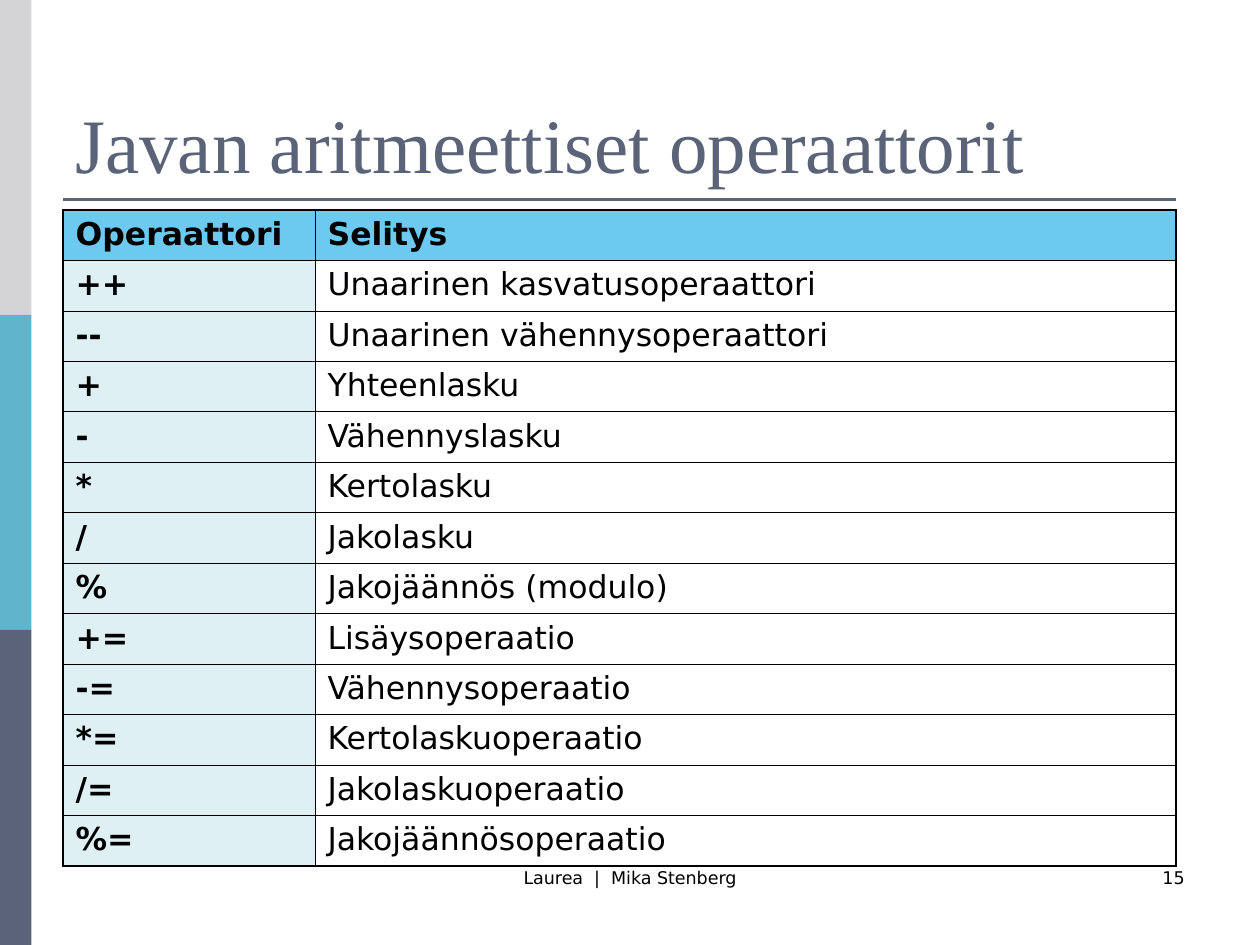
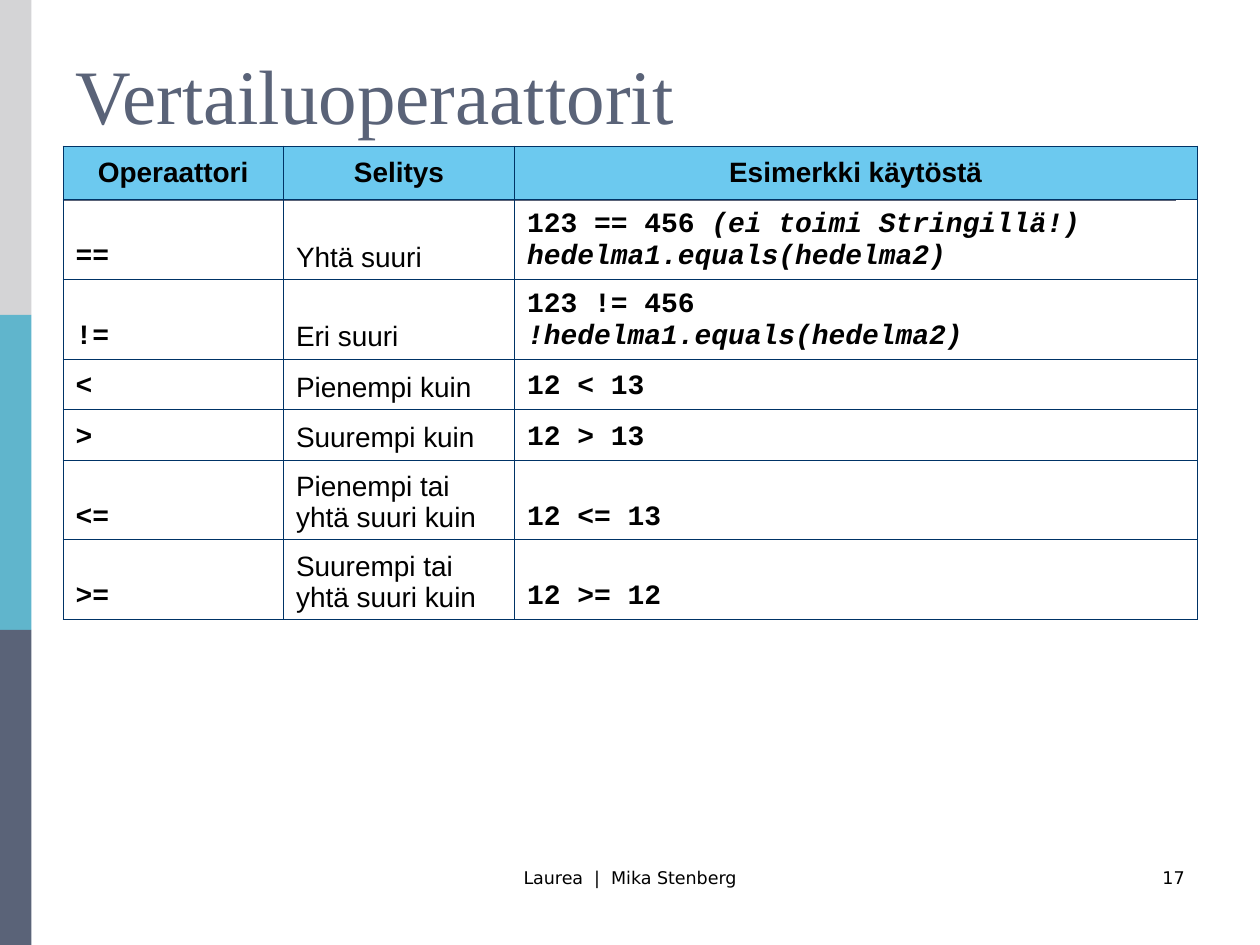
from lxml.etree import SubElement
from pptx import Presentation
from pptx.dml.color import RGBColor
from pptx.enum.shapes import MSO_CONNECTOR, MSO_SHAPE
from pptx.enum.text import MSO_ANCHOR, PP_ALIGN
from pptx.oxml import parse_xml
from pptx.oxml.ns import nsdecls, qn
from pptx.util import Inches, Pt

SLATE = RGBColor(0x5A, 0x63, 0x78)
TEAL = RGBColor(0x60, 0xB5, 0xCC)
GREY = RGBColor(0xD4, 0xD4, 0xD6)
SKY = RGBColor(0x6C, 0xC9, 0xEF)
PALE = RGBColor(0xDF, 0xF0, 0xF5)
NAVY = RGBColor(0x00, 0x33, 0x66)
BLACK = RGBColor(0, 0, 0)
SANS, SERIF, ARIAL, MONO = "DejaVu Sans", "Times New Roman", "Arial", "Courier New"
THIN, THICK = 0.45, 1.08

# The slide is a grid of 120 columns by 90 rows of square units
UNIT = Inches(10) / 120
LEFT = 6


def write(tf, text, font=SANS, size=18, color=BLACK, bold=False,
          align=PP_ALIGN.LEFT, anchor=MSO_ANCHOR.TOP):
    """Fill a text frame; each line is a paragraph, and runs between _ are italic."""
    tf.word_wrap = True
    tf.vertical_anchor = anchor
    for i, line in enumerate(text.split("\n")):
        p = tf.paragraphs[0] if i == 0 else tf.add_paragraph()
        p.alignment = align
        for j, part in enumerate(line.split("_")):
            if part:
                r = p.add_run()
                r.text = part
                r.font.name, r.font.size, r.font.bold = font, Pt(size), bold
                r.font.italic = j % 2 == 1
                r.font.color.rgb = color


def set_borders(cell, color, left=THIN, right=THIN, top=THIN, bottom=THIN):
    tcPr = cell._tc.get_or_add_tcPr()
    sides = zip(("lnL", "lnR", "lnT", "lnB"), (left, right, top, bottom))
    for i, (tag, width) in enumerate(sides):
        tcPr.insert(i, parse_xml(
            f'<a:{tag} {nsdecls("a")} w="{Pt(width)}"><a:solidFill>'
            f'<a:srgbClr val="{color}"/></a:solidFill></a:{tag}>'))


arithmetic = [
    ("Operaattori", "Selitys"),
    ("++", "Unaarinen kasvatusoperaattori"),
    ("--", "Unaarinen vähennysoperaattori"),
    ("+", "Yhteenlasku"),
    ("-", "Vähennyslasku"),
    ("*", "Kertolasku"),
    ("/", "Jakolasku"),
    ("%", "Jakojäännös (modulo)"),
    ("+=", "Lisäysoperaatio"),
    ("-=", "Vähennysoperaatio"),
    ("*=", "Kertolaskuoperaatio"),
    ("/=", "Jakolaskuoperaatio"),
    ("%=", "Jakojäännösoperaatio"),
]
comparison = [
    ("Operaattori", "Selitys", "Esimerkki käytöstä"),
    ("==", "Yhtä suuri", "123 == 456 _(ei toimi Stringillä!)_\n_hedelma1.equals(hedelma2)_"),
    ("!=", "Eri suuri", "123 != 456\n_!hedelma1.equals(hedelma2)_"),
    ("<", "Pienempi kuin", "12 < 13"),
    (">", "Suurempi kuin", "12 > 13"),
    ("<=", "Pienempi tai yhtä suuri kuin", "12 <= 13"),
    (">=", "Suurempi tai yhtä suuri kuin", "12 >= 12"),
]
# number, title, title height, table top, column widths, row heights, texts
slides = [
    ("15", "Javan aritmeettiset operaattorit", 15, 20,
     (24, 82), [4.8] * 13, arithmetic),
    ("17", "Vertailuoperaattorit", 10.3, 13.9,
     (21, 22, 65), (5.1, 7.6, 7.6, 4.8, 4.8, 7.6, 7.6), comparison),
]

prs = Presentation()
prs.slide_width, prs.slide_height = int(120 * UNIT), int(90 * UNIT)
tables = []

for number, title, title_height, table_top, widths, heights, texts in slides:
    s = prs.slides.add_slide(prs.slide_layouts[6])

    for i, color in enumerate((GREY, TEAL, SLATE)):
        band = s.shapes.add_shape(MSO_SHAPE.RECTANGLE, 0, int(30 * i * UNIT),
                                  int(3 * UNIT), int(30 * UNIT))
        band.shadow.inherit = False
        band.fill.solid()
        band.fill.fore_color.rgb = color
        band.line.fill.background()

    rule = s.shapes.add_connector(MSO_CONNECTOR.STRAIGHT, int(LEFT * UNIT), int(19 * UNIT),
                                  int(112 * UNIT), int(19 * UNIT))
    rule.line.color.rgb = SLATE
    rule.line.width = Pt(1.5)
    SubElement(rule._element.spPr, qn("a:effectLst"))

    for text, box, style in (
        ("Laurea  |  Mika Stenberg", (41, 82, 38, 6), dict(size=10, align=PP_ALIGN.CENTER)),
        (number, (86, 82, 28, 6), dict(size=10, align=PP_ALIGN.RIGHT)),
        (title, (LEFT, 3.6, 108, title_height),
         dict(font=SERIF, size=44, color=SLATE, anchor=MSO_ANCHOR.BOTTOM)),
    ):
        tb = s.shapes.add_textbox(*(int(n * UNIT) for n in box))
        write(tb.text_frame, text, **style)

    table = s.shapes.add_table(len(heights), len(widths), int(LEFT * UNIT),
                               int(table_top * UNIT), int(sum(widths) * UNIT),
                               int(sum(heights) * UNIT)).table
    table.first_row = table.horz_banding = False
    for column, width in zip(table.columns, widths):
        column.width = int(width * UNIT)
    for row, height in zip(table.rows, heights):
        row.height = int(height * UNIT)
    tables.append(table)

# Arithmetic operators: heavy outer frame, tinted first column
for i, row in enumerate(arithmetic):
    for j, text in enumerate(row):
        cell = tables[0].cell(i, j)
        write(cell.text_frame, text, bold=i == 0 or j == 0)
        if i == 0 or j == 0:
            cell.fill.solid()
            cell.fill.fore_color.rgb = SKY if i == 0 else PALE
        else:
            cell.fill.background()
        set_borders(cell, BLACK,
                    left=THICK if j == 0 else THIN,
                    right=THICK if j == 1 else THIN,
                    top=THICK if i == 0 else THIN,
                    bottom=THICK if i == len(arithmetic) - 1 else THIN)

# Comparison operators: code in bold monospace, explanations in plain Arial
for i, row in enumerate(comparison):
    for j, text in enumerate(row):
        cell = tables[1].cell(i, j)
        if i == 0:
            write(cell.text_frame, text, font=ARIAL, size=16, bold=True, align=PP_ALIGN.CENTER)
            cell.vertical_anchor = MSO_ANCHOR.MIDDLE
            cell.fill.solid()
            cell.fill.fore_color.rgb = SKY
        else:
            write(cell.text_frame, text, font=ARIAL if j == 1 else MONO, size=16, bold=j != 1)
            cell.vertical_anchor = MSO_ANCHOR.BOTTOM
            cell.fill.background()
        set_borders(cell, NAVY)

prs.save("out.pptx")
